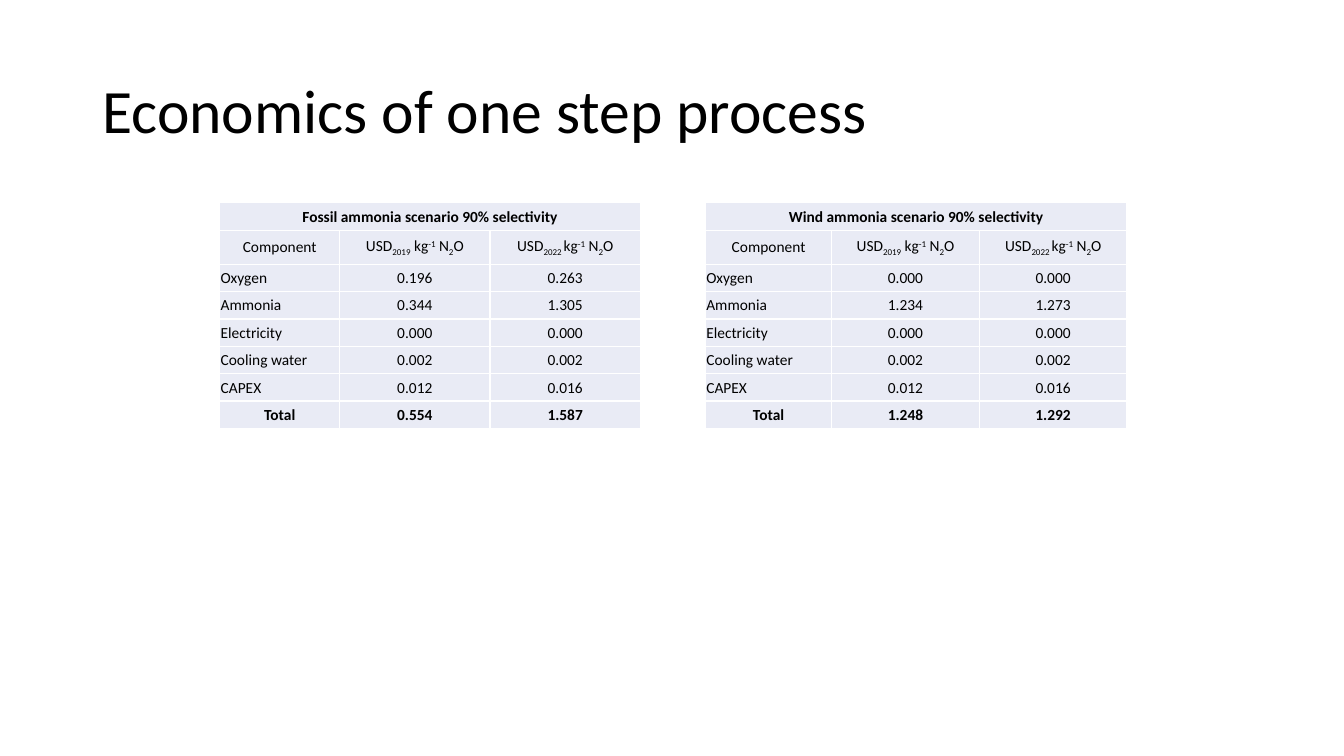
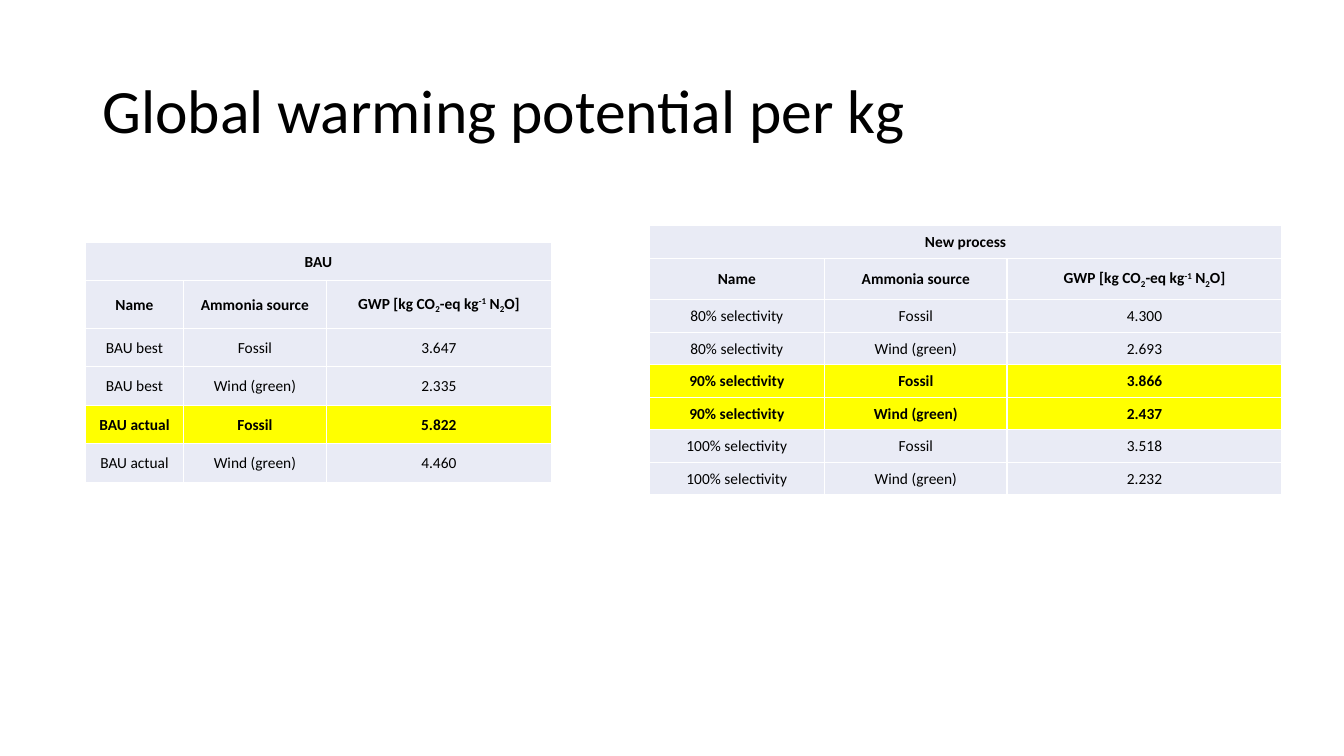
from pptx import Presentation
from pptx.dml.color import RGBColor
from pptx.enum.text import MSO_ANCHOR, PP_ALIGN
from pptx.util import Cm, Pt

MIDDLE = MSO_ANCHOR.MIDDLE
LEFT, CENTER = PP_ALIGN.LEFT, PP_ALIGN.CENTER

BLACK = RGBColor(0x00, 0x00, 0x00)
PALE_BLUE = RGBColor(0xE9, 0xEB, 0xF5)
YELLOW = RGBColor(0xFF, 0xFF, 0x00)
FONT = "Calibri"

# Baseline shifts in thousandths of a percent
SUB, SUP = -25000, 30000

# Headings with sub- and superscripts are lists of (text, baseline shift)
PER_KG_N2O = [("kg", 0), ("-1", SUP), (" N", 0), ("2", SUB), ("O", 0)]
COST_HEADINGS = [
    "Component",
    [("USD", 0), ("2019", SUB), (" ", 0)] + PER_KG_N2O,
    [("USD", 0), ("2022 ", SUB)] + PER_KG_N2O,
]
GWP_HEADINGS = [
    "Name",
    "Ammonia source",
    [("GWP [kg CO", 0), ("2", SUB), ("-eq ", 0)] + PER_KG_N2O + [("]", 0)],
]


def style_paragraph(paragraph, size, bold=False):
    paragraph.font.name = FONT
    paragraph.font.size = Pt(size)
    paragraph.font.bold = bold
    paragraph.font.color.rgb = BLACK


def add_data_table(page, left, top, widths, row_height, heading_height, rows,
                   bold_rows, yellow_rows=(), left_rows=()):
    """Add a table whose first row is a merged title; lengths are in cm."""
    heights = [row_height, heading_height] + [row_height] * (len(rows) - 2)
    table = page.shapes.add_table(
        len(rows), len(widths), Cm(left), Cm(top),
        Cm(sum(widths)), Cm(sum(heights))).table
    table.first_row = table.horz_banding = False
    for column, width in zip(table.columns, widths):
        column.width = Cm(width)
    for row, height in zip(table.rows, heights):
        row.height = Cm(height)
    table.cell(0, 0).merge(table.cell(0, len(widths) - 1))

    for r, values in enumerate(rows):
        for c, value in enumerate(values):
            cell = table.cell(r, c)
            cell.fill.solid()
            cell.fill.fore_color.rgb = YELLOW if r in yellow_rows else PALE_BLUE
            cell.vertical_anchor = MIDDLE
            cell.margin_left = cell.margin_right = cell.margin_top = Cm(0.02)
            cell.margin_bottom = 0
            paragraph = cell.text_frame.paragraphs[0]
            paragraph.alignment = LEFT if c == 0 and r in left_rows else CENTER
            style_paragraph(paragraph, 11, r in bold_rows)
            parts = [(value, 0)] if isinstance(value, str) else value
            for text, shift in parts:
                span = paragraph.add_run()
                span.text = text
                if shift:
                    span._r.get_or_add_rPr().set("baseline", str(shift))


deck = Presentation()
deck.slide_width, deck.slide_height = Cm(33.87), Cm(19.05)

pages = []
for title in ["Economics of one step process", "Global warming potential per kg"]:
    page = deck.slides.add_slide(deck.slide_layouts[6])
    box = page.shapes.add_textbox(Cm(2.33), Cm(1.02), Cm(29.21), Cm(3.68))
    box.text_frame.word_wrap = True
    box.text_frame.vertical_anchor = MIDDLE
    paragraph = box.text_frame.paragraphs[0]
    paragraph.text = title
    paragraph.line_spacing = 0.9
    style_paragraph(paragraph, 44)
    pages.append(page)
economics, warming = pages

# Economics: one cost table per ammonia scenario
components = ["Oxygen", "Ammonia", "Electricity", "Cooling water", "CAPEX", "Total"]
scenarios = [
    ("Fossil", 5.54, [3.02, 3.79, 3.79],
     ["0.196", "0.344", "0.000", "0.002", "0.012", "0.554"],
     ["0.263", "1.305", "0.000", "0.002", "0.016", "1.587"]),
    ("Wind", 17.78, [3.18, 3.72, 3.72],
     ["0.000", "1.234", "0.000", "0.002", "0.012", "1.248"],
     ["0.000", "1.273", "0.000", "0.002", "0.016", "1.292"]),
]
for source, left, widths, costs_2019, costs_2022 in scenarios:
    rows = [[f"{source} ammonia scenario 90% selectivity"], COST_HEADINGS]
    rows += zip(components, costs_2019, costs_2022)
    # The title cell spans all columns, so only its first cell is filled
    add_data_table(economics, left, 5.11, widths, 0.69, 0.86, rows,
                   bold_rows=(0, 7), left_rows=range(2, 7))

# Global warming potential: each case with fossil and wind ammonia
processes = [
    ("BAU", 2.16, 6.1, [2.46, 3.61, 5.66], 0.97, 1.2, [4],
     [("BAU best", "3.647", "2.335"), ("BAU actual", "5.822", "4.460")]),
    ("New process", 16.36, 5.69, [4.42, 4.6, 6.93], 0.82, 1.04, [4, 5],
     [("80% selectivity", "4.300", "2.693"),
      ("90% selectivity", "3.866", "2.437"),
      ("100% selectivity", "3.518", "2.232")]),
]
for name, left, top, widths, row_height, heading_height, yellow_rows, cases in processes:
    rows = [[name], GWP_HEADINGS]
    for case, fossil, wind in cases:
        rows += [[case, "Fossil", fossil], [case, "Wind (green)", wind]]
    add_data_table(warming, left, top, widths, row_height, heading_height, rows,
                   bold_rows=[0, 1] + yellow_rows, yellow_rows=yellow_rows)

deck.save("out.pptx")
